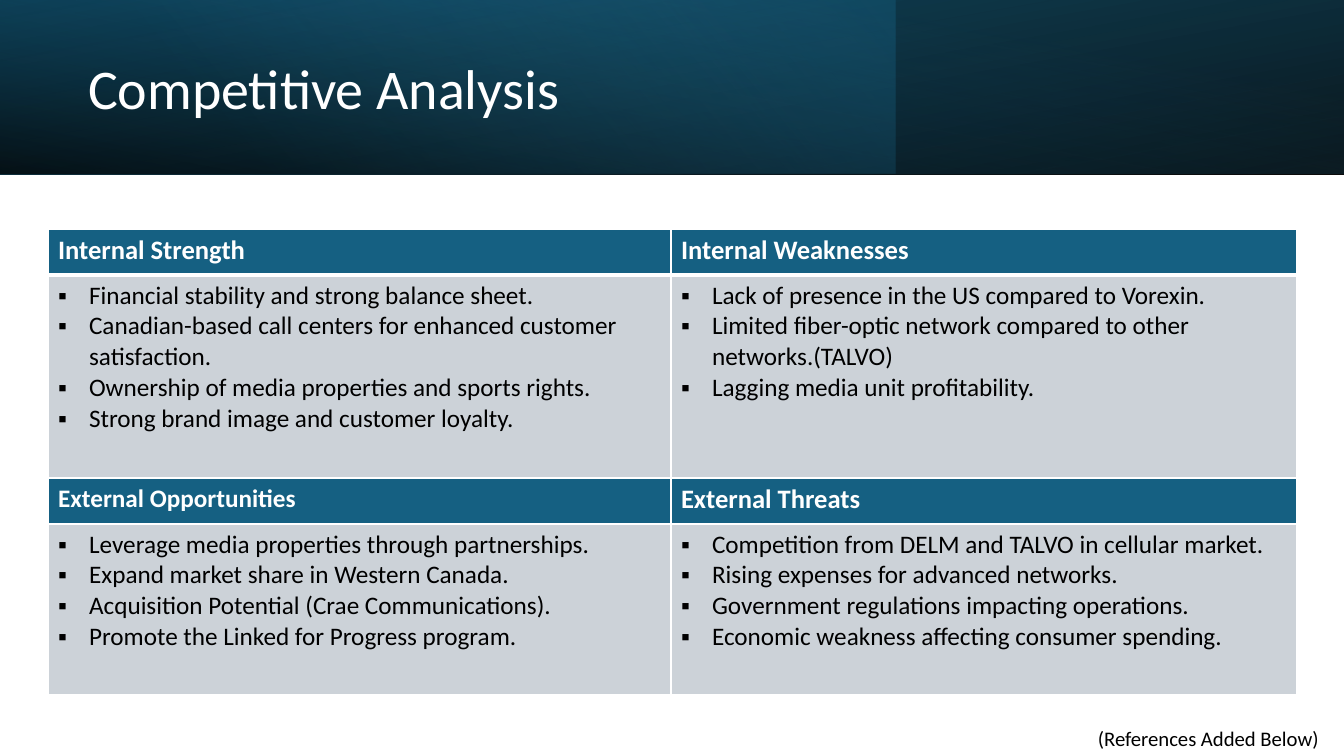
from lxml import etree
from pptx import Presentation
from pptx.dml.color import RGBColor
from pptx.enum.shapes import MSO_SHAPE
from pptx.enum.text import MSO_ANCHOR, MSO_AUTO_SIZE
from pptx.oxml.ns import qn
from pptx.util import Pt

PX = 9144000 / 1008  # EMU per pixel, 100.8 pixels to the inch
FONT = "Calibri"
WHITE = RGBColor(0xFF, 0xFF, 0xFF)
BLACK = RGBColor(0x00, 0x00, 0x00)
TEAL = RGBColor(0x15, 0x60, 0x82)
DEEP_TEAL = RGBColor(0x10, 0x48, 0x62)
SKY = RGBColor(0x46, 0xB1, 0xE1)
GREY = RGBColor(0xCC, 0xD2, 0xD8)


def px(*lengths):
    return [round(length * PX) for length in lengths]


def add_run(paragraph, text, size, color, bold=False):
    run = paragraph.add_run()
    run.text = text
    run.font.name = FONT
    run.font.size = Pt(size)
    run.font.bold = bold
    run.font.color.rgb = color


presentation = Presentation()
presentation.slide_width, presentation.slide_height = px(1344, 756)
slide = presentation.slides.add_slide(presentation.slide_layouts[5])
slide.background.fill.solid()
slide.background.fill.fore_color.rgb = WHITE

# Header band: three layered gradients (width, rotation, flip, angle, stops)
# Each stop is position %, colour, opacity %
bands = [
    (1344, 180, True, 100, [(0, BLACK, 96), (100, DEEP_TEAL, 100)]),
    (896, 0, False, 140, [(0, TEAL, 41), (74, SKY, 0)]),
    (1344, 0, True, 260, [(0, BLACK, 63), (78, TEAL, 15)]),
]
for width, rotation, flipped, angle, stops in bands:
    band = slide.shapes.add_shape(MSO_SHAPE.RECTANGLE, *px(0, 0, width, 174))
    band.shadow.inherit = False
    band.line.fill.background()
    band.rotation = rotation
    band.fill.background()
    properties = band._element.spPr
    if flipped:
        properties.find(qn("a:xfrm")).set("flipH", "1")
    gradient = etree.Element(qn("a:gradFill"), rotWithShape="1")
    stop_list = etree.SubElement(gradient, qn("a:gsLst"))
    for position, color, opacity in stops:
        stop = etree.SubElement(stop_list, qn("a:gs"), pos=str(position * 1000))
        stop_color = etree.SubElement(stop, qn("a:srgbClr"), val=str(color))
        etree.SubElement(stop_color, qn("a:alpha"), val=str(opacity * 1000))
    etree.SubElement(gradient, qn("a:lin"), ang=str(angle * 60000), scaled="0")
    properties.replace(properties.find(qn("a:noFill")), gradient)

# Title, brought in front of the bands
title = slide.shapes.title
title.left, title.top, title.width, title.height = px(78, 27, 778, 128)
slide.shapes._spTree.append(title._element)
title.text_frame.vertical_anchor = MSO_ANCHOR.MIDDLE
title.text_frame.auto_size = MSO_AUTO_SIZE.NONE
title_paragraph = title.text_frame.paragraphs[0]
title_paragraph.alignment = 1  # left
title_paragraph.line_spacing = 0.9
add_run(title_paragraph, "Competitive Analysis", 40, WHITE)

# Reference note
note = slide.shapes.add_textbox(*px(1088, 717, 256, 45))
note.text_frame.word_wrap = True
note.text_frame.vertical_anchor = MSO_ANCHOR.MIDDLE
note_paragraph = note.text_frame.paragraphs[0]
note_paragraph.line_spacing = 0.9
add_run(note_paragraph, "(References Added Below)", 14.8, BLACK)

# SWOT table: each quadrant is a heading cell above a list cell
quadrants = [
    (0, 0, "Internal Strength", 19, [
        "Financial stability and strong balance sheet.",
        "Canadian-based call centers for enhanced customer satisfaction.",
        "Ownership of media properties and sports rights.",
        "Strong brand image and customer loyalty.",
    ]),
    (0, 1, "Internal Weaknesses", 19, [
        "Lack of presence in the US compared to Vorexin.",
        "Limited fiber-optic network compared to other networks.(TALVO)",
        "Lagging media unit profitability.",
    ]),
    (2, 0, "External Opportunities", 18, [
        "Leverage media properties through partnerships.",
        "Expand market share in Western Canada.",
        "Acquisition Potential (Crae Communications).",
        "Promote the Linked for Progress program.",
    ]),
    (2, 1, "External Threats", 19, [
        "Competition from DELM and TALVO in cellular market.",
        "Rising expenses for advanced networks.",
        "Government regulations impacting operations.",
        "Economic weakness affecting consumer spending.",
    ]),
]
column_widths = px(623, 626)
row_heights = px(46, 203, 46, 171)
table = slide.shapes.add_table(
    4, 2, *px(48, 229), sum(column_widths), sum(row_heights)).table
table.horz_banding = False
for column, width in zip(table.columns, column_widths):
    column.width = width
for row, height in zip(table.rows, row_heights):
    row.height = height

for row, column, heading, heading_size, points in quadrants:
    heading_cell = table.cell(row, column)
    add_run(heading_cell.text_frame.paragraphs[0], heading, heading_size, WHITE, True)
    list_frame = table.cell(row + 1, column).text_frame
    for index, point in enumerate(points):
        paragraph = list_frame.add_paragraph() if index else list_frame.paragraphs[0]
        add_run(paragraph, point, 18, BLACK)
        indent, = px(31)
        paragraph_properties = paragraph._p.get_or_add_pPr()
        paragraph_properties.set("marL", str(indent))
        paragraph_properties.set("indent", str(-indent))
        etree.SubElement(paragraph_properties, qn("a:buFont"), typeface="Arial")
        etree.SubElement(paragraph_properties, qn("a:buChar"), char="▪")

# Cell fills and white borders, thicker under the first heading row
for row in range(4):
    for column in range(2):
        cell = table.cell(row, column)
        cell.fill.solid()
        cell.fill.fore_color.rgb = GREY if row % 2 else TEAL
        widths = {"lnL": 1, "lnR": 1, "lnT": 3 if row == 1 else 1,
                  "lnB": 3 if row == 0 else 1}
        for index, (side, width) in enumerate(widths.items()):
            border = etree.Element(qn(f"a:{side}"), w=str(Pt(width)))
            border_fill = etree.SubElement(border, qn("a:solidFill"))
            etree.SubElement(border_fill, qn("a:srgbClr"), val=str(WHITE))
            cell._tc.get_or_add_tcPr().insert(index, border)

presentation.save("out.pptx")
